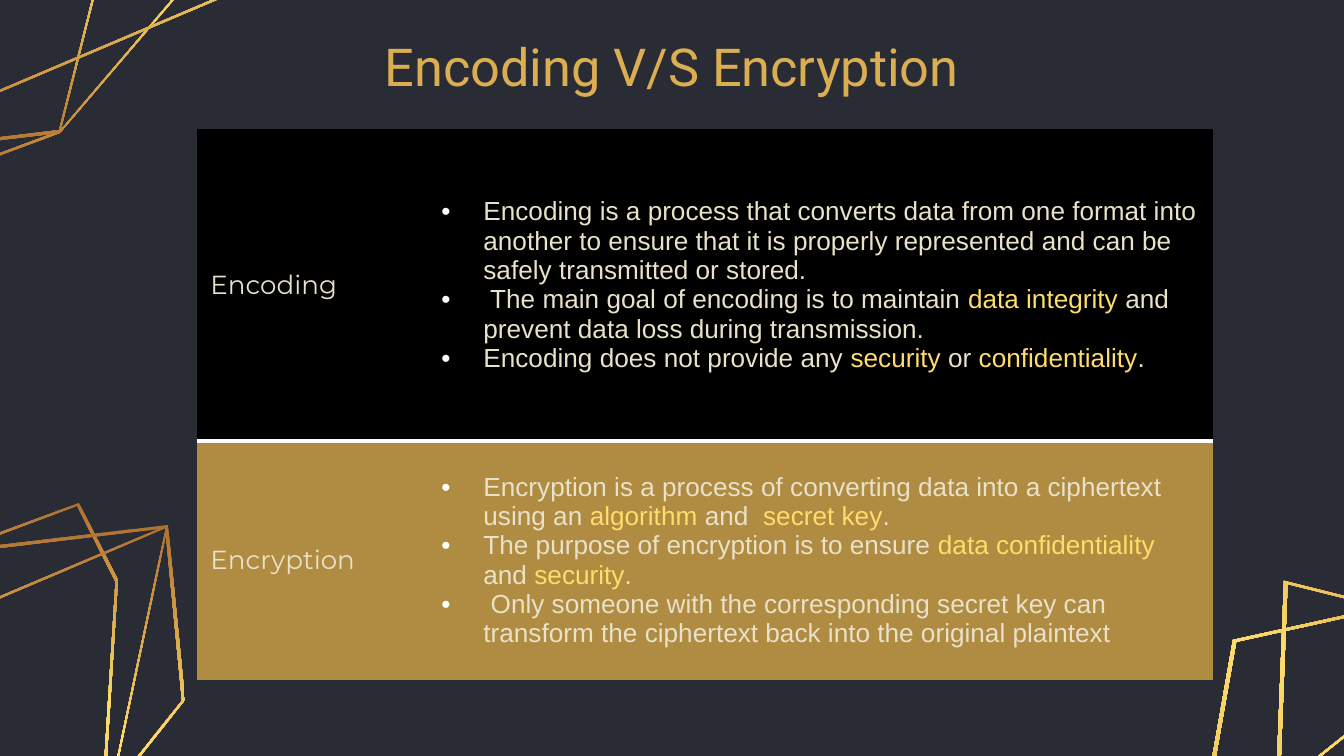
"""Build the slide that compares encoding with encryption."""
from copy import deepcopy

from lxml import etree
from pptx import Presentation
from pptx import util as u
from pptx.dml.color import RGBColor
from pptx.enum import text
from pptx.oxml import ns

PX = 914400 / 134.4
NIGHT = RGBColor(0x29, 0x2C, 0x35)
BLACK = RGBColor(0x00, 0x00, 0x00)
BRONZE = RGBColor(0xB0, 0x8B, 0x42)
COPPER = RGBColor(0xAF, 0x71, 0x32)
GOLD = RGBColor(0xDC, 0xAE, 0x52)
YELLOW = RGBColor(0xFF, 0xDD, 0x6B)
CREAM = RGBColor(0xE9, 0xE2, 0xC9)
WHITE = RGBColor(0xFF, 0xFF, 0xFF)
NO_STYLE = "{2D5ABB26-0587-4C30-8999-92F81FD0307C}"

LEFT_OUTLINES = [
    [(-140, 908), (-220, 750), (-50, 551), (79, 503), (118, 580), (102, 837)],
    [(-24, 963), (-140, 908), (-50, 551), (168, 525), (102, 837)],
    [(-24, 963), (-216, 688), (168, 525), (185, 700)],
]
TOP_OUTLINES = [[(10 - x, 684 - y) for x, y in outline] for outline in LEFT_OUTLINES]
RIGHT_OUTLINES = [
    [(1195, 855), (1233, 640), (1550, 570), (1713, 618), (1693, 723), (1486, 965)],
    [(1268, 997), (1195, 855), (1550, 570), (1784, 706), (1486, 965)],
    [(1268, 997), (1284, 581), (1784, 706), (1672, 892)],
]
ROWS = [
    ("Encoding", BLACK, 312, [
        "Encoding is a process that converts data from one format into another "
        "to ensure that it is properly represented and can be safely transmitted or stored.",
        " The main goal of encoding is to maintain *data integrity *and prevent "
        "data loss during transmission.",
        "Encoding does not provide any *security* or *confidentiality*.",
    ]),
    ("Encryption", BRONZE, 239, [
        "Encryption is a process of converting data into a ciphertext using an "
        "*algorithm* and  *secret key*.",
        "The purpose of encryption is to ensure *data confidentiality *and *security*.",
        " Only someone with the corresponding secret key can transform the "
        "ciphertext back into the original plaintext",
    ]),
]


def px(value):
    return u.Emu(round(value * PX))


def add_run(paragraph, words, font, size, color):
    run = paragraph.add_run()
    run.text = words
    run.font.name = font
    run.font.size = u.Pt(size)
    run.font.color.rgb = color


presentation = Presentation()
presentation.slide_width = px(1344)
presentation.slide_height = px(756)
slide = presentation.slides.add_slide(presentation.slide_layouts[5])
slide.background.fill.solid()
slide.background.fill.fore_color.rgb = NIGHT

for outlines, angle in ((LEFT_OUTLINES, 270), (TOP_OUTLINES, 90), (RIGHT_OUTLINES, 240)):
    for outline in outlines:
        xs, ys = zip(*outline)
        middle_x, middle_y = (min(xs) + max(xs)) / 2, (min(ys) + max(ys)) / 2
        builder = None
        for ratio in (1, 0.985):
            points = [(px(middle_x + (x - middle_x) * ratio),
                       px(middle_y + (y - middle_y) * ratio)) for x, y in outline]
            if builder is None:
                builder = slide.shapes.build_freeform(*points[0], scale=1.0)
            else:
                builder.move_to(*points[0])
            builder.add_line_segments(points[1:], close=True)
        shape = builder.convert_to_shape()
        shape.shadow.inherit = False
        shape.line.fill.background()
        shape.fill.gradient()
        shape.fill.gradient_angle = angle
        stop_list = shape._element.spPr.find(".//" + ns.qn("a:gsLst"))
        stop_list.append(deepcopy(stop_list[-1]))
        for stop, position, color in zip(shape.fill.gradient_stops, (0, 0.5, 1),
                                         (COPPER, YELLOW, GOLD)):
            stop.position = position
            stop.color.rgb = color

title = slide.shapes.title
title.left, title.top, title.width, title.height = px(293), px(34), px(757), px(63)
title.text_frame.vertical_anchor = text.MSO_ANCHOR.MIDDLE
paragraph = title.text_frame.paragraphs[0]
paragraph.alignment = text.PP_ALIGN.CENTER
add_run(paragraph, "Encoding V/S Encryption", "Roboto", 28, GOLD)

frame = slide.shapes.add_table(2, 2, px(197), px(129), px(1016), px(551))
table = frame.table
table.first_row = table.horz_banding = False
table._tbl.tblPr.find(ns.qn("a:tableStyleId")).text = NO_STYLE
table.columns[0].width, table.columns[1].width = px(231), px(785)

for row, (name, fill, height, points) in enumerate(ROWS):
    table.rows[row].height = px(height)
    name_cell, detail_cell = table.cell(row, 0), table.cell(row, 1)
    for cell in (name_cell, detail_cell):
        cell.fill.solid()
        cell.fill.fore_color.rgb = fill
        cell.vertical_anchor = text.MSO_ANCHOR.MIDDLE
        if row == 0:
            border = etree.Element(ns.qn("a:lnB"), w=str(u.Pt(2)))
            solid = etree.SubElement(border, ns.qn("a:solidFill"))
            etree.SubElement(solid, ns.qn("a:srgbClr"), val=str(WHITE))
            cell._tc.tcPr.insert(0, border)
    add_run(name_cell.text_frame.paragraphs[0], name, "Montserrat", 14, CREAM)

    for index, point in enumerate(points):
        body = detail_cell.text_frame
        paragraph = body.add_paragraph() if index else body.paragraphs[0]
        properties = paragraph._p.get_or_add_pPr()
        properties.set("marL", str(px(42)))
        properties.set("indent", str(px(-42)))
        bullet_color = etree.SubElement(properties, ns.qn("a:buClr"))
        etree.SubElement(bullet_color, ns.qn("a:srgbClr"), val=str(WHITE))
        etree.SubElement(properties, ns.qn("a:buFont"), typeface="Arial")
        etree.SubElement(properties, ns.qn("a:buChar"), char="•")
        for part, words in enumerate(point.split("*")):
            add_run(paragraph, words, "Arial", 14, YELLOW if part % 2 else CREAM)

presentation.save("out.pptx")
